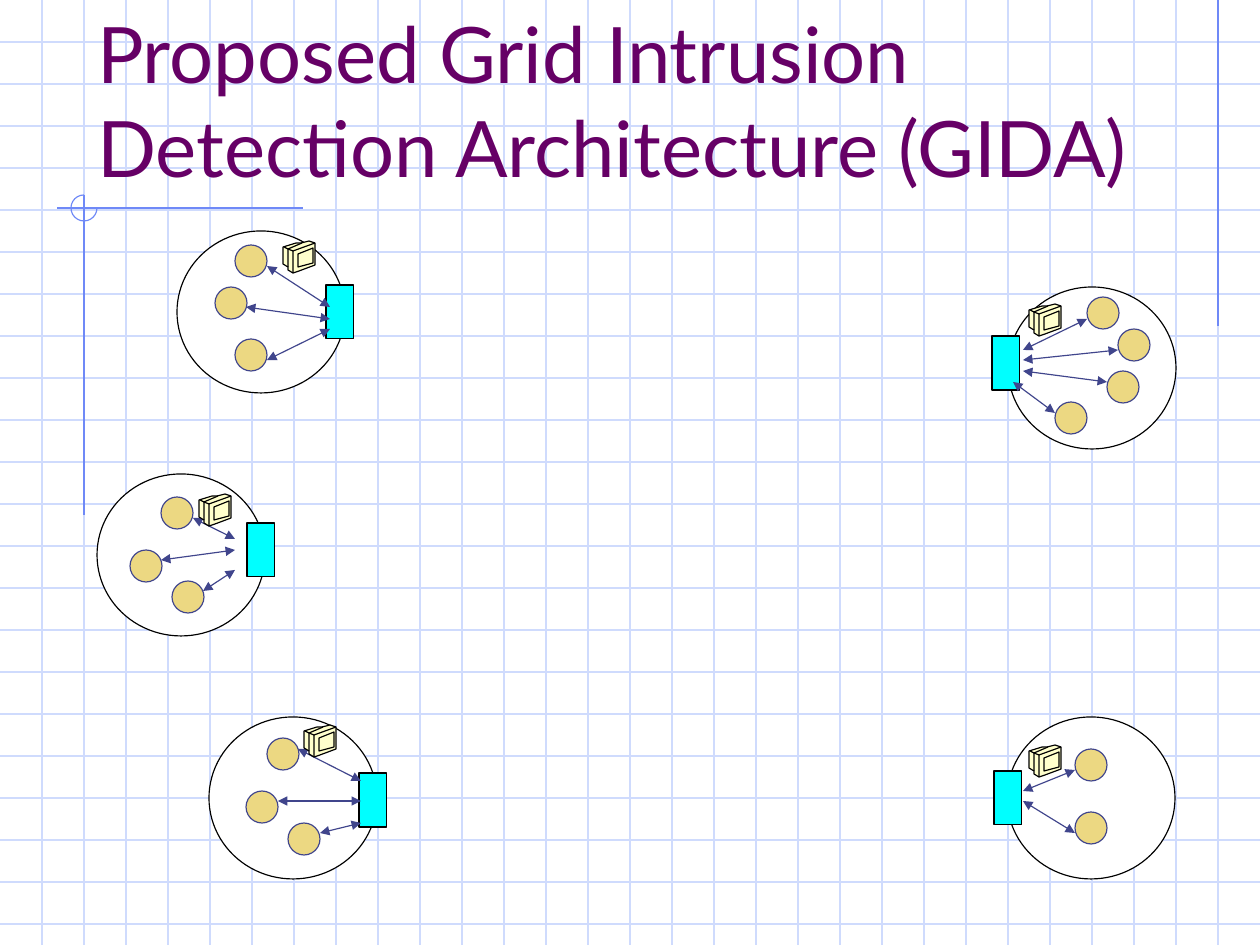
from dataclasses import dataclass

from lxml import etree
from pptx import Presentation
from pptx.dml.color import RGBColor
from pptx.enum.shapes import MSO_CONNECTOR, MSO_SHAPE
from pptx.enum.text import MSO_ANCHOR, MSO_AUTO_SIZE, PP_ALIGN
from pptx.oxml.ns import qn
from pptx.util import Pt

STRAIGHT = MSO_CONNECTOR.STRAIGHT
ARC, ELLIPSE, RECTANGLE = MSO_SHAPE.ARC, MSO_SHAPE.OVAL, MSO_SHAPE.RECTANGLE

EMU_PER_PX = 8000
PAGE_WIDTH, PAGE_HEIGHT, GRID_STEP = 1260, 945, 42
NODE_SIZE = 32
DOMAIN_SIZE, GATEWAY_SIZE = (168, 162), (28, 54)


@dataclass(frozen=True)
class Theme:
    font: str = "Lato"
    title_size: int = 49
    line_width: float = 0.75
    title: str = "660066"
    grid: str = "CFDBFD"
    accent: str = "6F89F7"
    outline: str = "000000"
    domain: str = "FFFFFF"
    gateway: str = "00FFFF"
    node: str = "ECD882"
    link: str = "40458C"
    computer: str = "FFFFCC"


THEME = Theme()

# Computer symbol, relative to its top left corner
COMPUTER_BODY = [(10, 32), (5, 29), (5, 26), (0, 23), (0, 6), (13, 2),
                 (18, 2), (26, 0), (32, 2), (32, 24), (16, 30), (10, 32)]
COMPUTER_EDGES = [
    [(10, 10), (5, 8), (1, 6)],
    [(30, 22), (30, 7), (15, 13), (15, 26), (30, 22)],
    [(5, 26), (5, 8), (19, 2)],
    [(32, 2), (10, 10), (10, 32)],
]


@dataclass(frozen=True)
class Domain:
    corner: tuple
    gateway: tuple
    computer: tuple
    nodes: list
    links: list  # (node x, node y, gateway x, gateway y)


DOMAINS = [
    Domain((97, 474), (247, 523), (199, 494),
           [(172, 581), (130, 550), (161, 497)],
           [(193, 518, 235, 539), (161, 560, 235, 550), (203, 591, 235, 570)]),
    Domain((177, 231), (326, 285), (283, 241),
           [(235, 245), (215, 287), (235, 339)],
           [(267, 266, 330, 307), (246, 307, 330, 319), (267, 360, 330, 329)]),
    Domain((209, 717), (359, 773), (304, 725),
           [(288, 823), (246, 791), (267, 738)],
           [(298, 749, 361, 781), (278, 801, 361, 801), (320, 833, 361, 823)]),
    Domain((1007, 717), (994, 771), (1029, 745),
           [(1075, 812), (1075, 749)],
           [(1075, 770, 1023, 791), (1075, 833, 1023, 801)]),
    Domain((1008, 287), (992, 336), (1029, 304),
           [(1055, 402), (1107, 371), (1118, 329), (1087, 297)],
           [(1087, 319, 1023, 350), (1118, 350, 1023, 360),
            (1107, 382, 1023, 371), (1055, 413, 1013, 382)]),
]


def px(*lengths):
    return [length * EMU_PER_PX for length in lengths]


def paint(shape, fill, line):
    shape.shadow.inherit = False
    if fill:
        shape.fill.solid()
        shape.fill.fore_color.rgb = RGBColor.from_string(fill)
    else:
        shape.fill.background()
    shape.line.color.rgb = RGBColor.from_string(line)
    shape.line.width = Pt(THEME.line_width)


def add_preset(page, kind, corner, size, fill, line):
    shape = page.shapes.add_shape(kind, *px(*corner, *size))
    paint(shape, fill, line)
    return shape


def add_line(page, ends, color, arrows=False):
    line = page.shapes.add_connector(STRAIGHT, *px(*ends))
    line.line.color.rgb = RGBColor.from_string(color)
    line.line.width = Pt(THEME.line_width)
    properties = line.element.spPr
    if arrows:
        stroke = properties.find(qn("a:ln"))
        for end in ("a:headEnd", "a:tailEnd"):
            etree.SubElement(stroke, qn(end), type="triangle")
    etree.SubElement(properties, qn("a:effectLst"))


def add_outline(page, corner, contours, fill):
    """Draw one freeform from contours given relative to the corner."""
    left, top = corner
    placed = [[(left + x, top + y) for x, y in contour] for contour in contours]
    builder = page.shapes.build_freeform(*placed[0][0], scale=EMU_PER_PX)
    for number, (start, *points) in enumerate(placed):
        if number:
            builder.move_to(*start)
        builder.add_line_segments(points, close=False)
    paint(builder.convert_to_shape(), fill, THEME.outline)


def add_background(page):
    # Grid paper
    for y in range(GRID_STEP, PAGE_HEIGHT, GRID_STEP):
        add_line(page, (0, y, PAGE_WIDTH, y), THEME.grid)
    for x in range(GRID_STEP, PAGE_WIDTH, GRID_STEP):
        add_line(page, (x, 0, x, PAGE_HEIGHT), THEME.grid)

    # Accent lines with a three-quarter circle at their crossing
    for ends in ((1218, 0, 1218, 326), (303, 208, 57, 208), (84, 195, 84, 515)):
        add_line(page, ends, THEME.accent)
    arc = add_preset(page, ARC, (71, 195), (26, 26), None, THEME.accent)
    arc.adjustments[0] = 0
    arc.adjustments[1] = 162  # 270 degrees


def add_title(page, text):
    box = page.shapes.title
    box.left, box.top, box.width, box.height = px(84, 42, 1071, 158)
    # Bring the title in front of the grid
    box.element.getparent().append(box.element)
    frame = box.text_frame
    frame.text = text
    frame.word_wrap = True
    frame.auto_size = MSO_AUTO_SIZE.NONE
    frame.vertical_anchor = MSO_ANCHOR.BOTTOM
    frame.margin_left, frame.margin_right = px(13, 13)
    frame.margin_top, frame.margin_bottom = px(7, 7)
    para = frame.paragraphs[0]
    para.alignment = PP_ALIGN.LEFT
    para.font.name = THEME.font
    para.font.size = Pt(THEME.title_size)
    para.font.color.rgb = RGBColor.from_string(THEME.title)


def add_domain(page, domain):
    add_preset(page, ELLIPSE, domain.corner, DOMAIN_SIZE,
               THEME.domain, THEME.outline)
    add_preset(page, RECTANGLE, domain.gateway, GATEWAY_SIZE,
               THEME.gateway, THEME.outline)
    for corner in domain.nodes:
        add_preset(page, ELLIPSE, corner, (NODE_SIZE, NODE_SIZE),
                   THEME.node, THEME.link)
    for ends in domain.links:
        add_line(page, ends, THEME.link, arrows=True)
    add_outline(page, domain.computer, [COMPUTER_BODY], THEME.computer)
    add_outline(page, domain.computer, COMPUTER_EDGES, None)


def main():
    deck = Presentation()
    deck.slide_width, deck.slide_height = px(PAGE_WIDTH, PAGE_HEIGHT)
    page = deck.slides.add_slide(deck.slide_layouts[5])
    add_background(page)
    add_title(page, "Proposed Grid Intrusion Detection Architecture (GIDA)")
    for domain in DOMAINS:
        add_domain(page, domain)
    deck.save("out.pptx")


if __name__ == "__main__":
    main()
